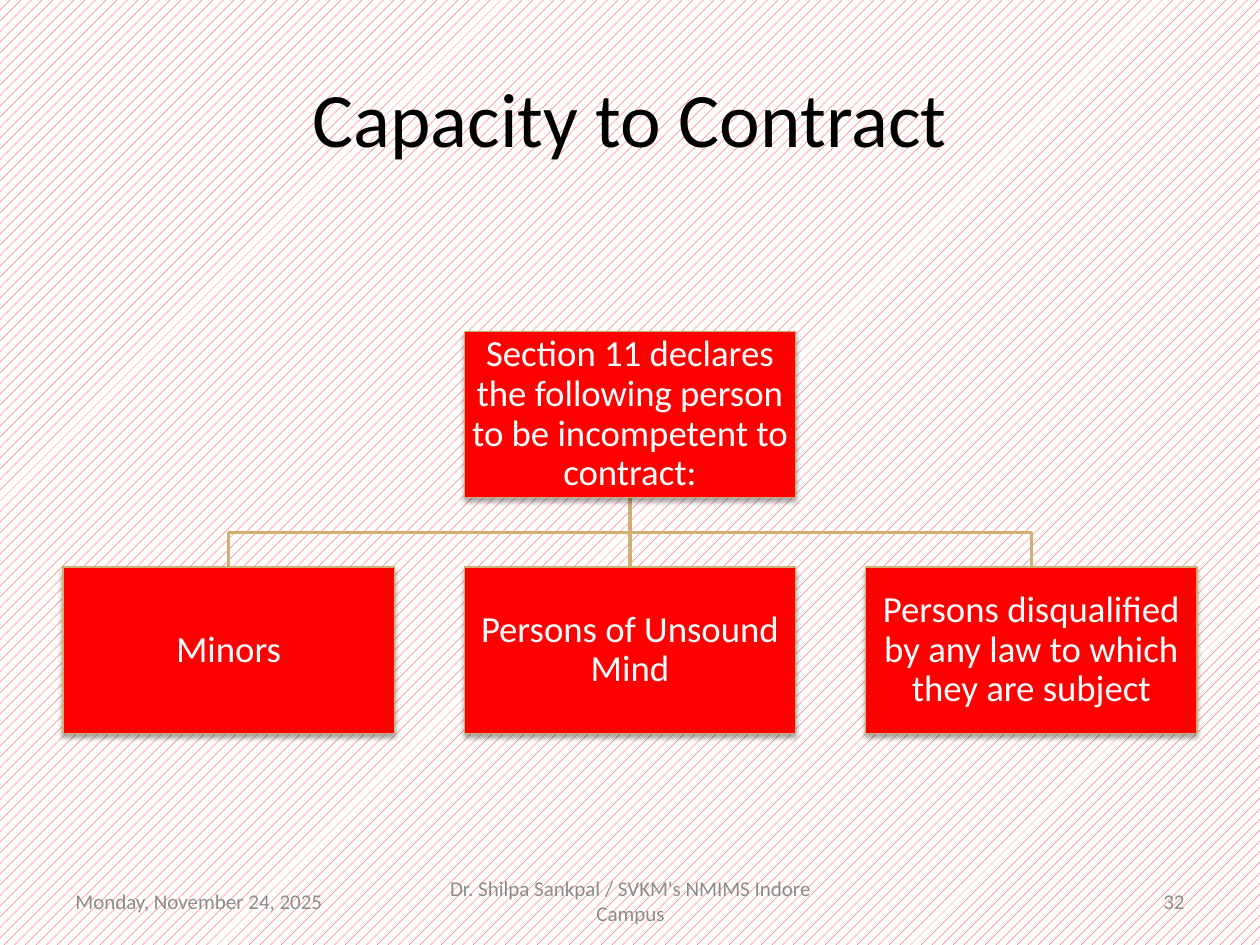
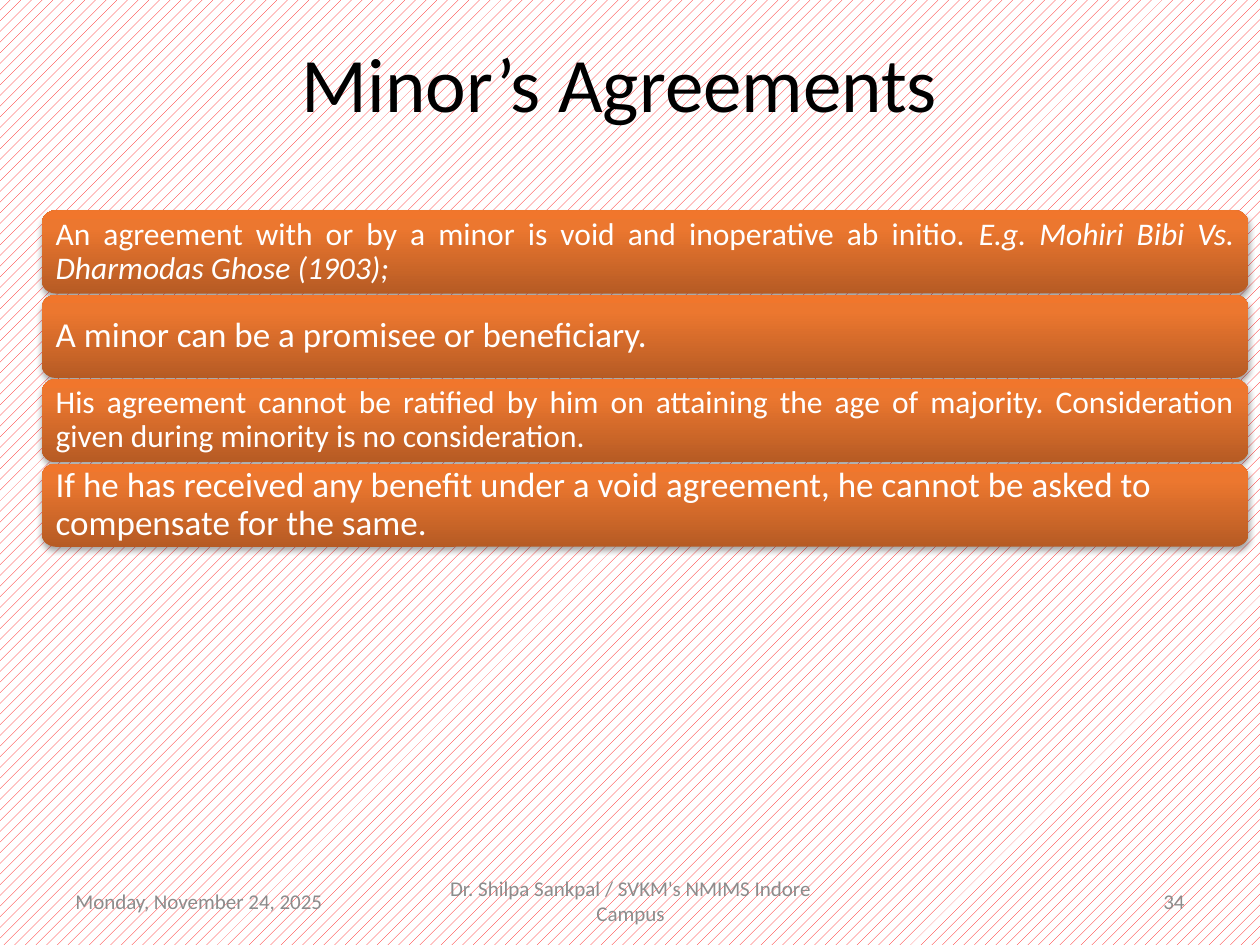
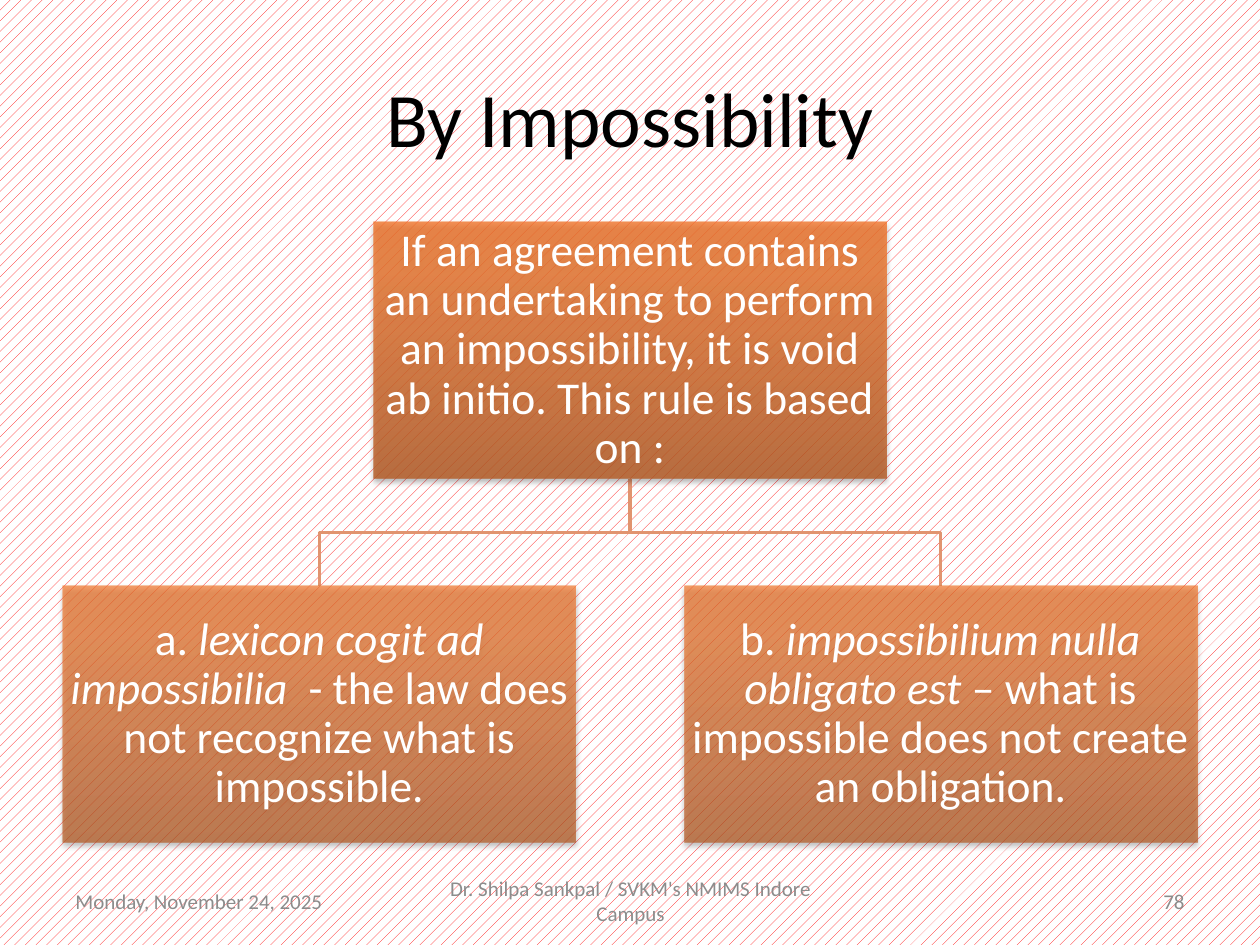
from copy import deepcopy

from lxml.etree import SubElement
from pptx import Presentation
from pptx.dml.color import RGBColor
from pptx.enum.dml import MSO_PATTERN
from pptx.enum.shapes import MSO_CONNECTOR, MSO_SHAPE
from pptx.enum.text import MSO_ANCHOR, PP_ALIGN
from pptx.oxml.ns import qn
from pptx.util import Inches, Pt

FONT = "Calibri"
RED, WHITE, BLACK, GREY = "FF0000", "FFFFFF", "000000", "8C8C8C"
GOLD, SALMON = "D0AF72", "E1946F"
ORANGE_STOPS = [(0, "B65B24"), (0.8, "EC772F"), (1, "F1762C")]
LEFT, CENTER, RIGHT = 0.5, 5, 9.5
DATE = "Monday, November 24, 2025"
AUTHOR = "Dr. Shilpa Sankpal / SVKM's NMIMS Indore Campus"


def rgb(value):
    return RGBColor.from_string(value)


class Deck:
    def __init__(self):
        self.presentation = Presentation()
        self.presentation.slide_width = Inches(10)
        self.presentation.slide_height = Inches(7.5)

    def start(self, title, number, left=0.5, top=0.3):
        layout = self.presentation.slide_layouts[6]
        self.slide = self.presentation.slides.add_slide(layout)
        backdrop = self.slide.background.fill
        backdrop.patterned()
        backdrop.pattern = MSO_PATTERN.PERCENT_20
        backdrop.fore_color.rgb = rgb(RED)
        backdrop.back_color.rgb = rgb(WHITE)
        self.label(title, left, top, 9, 1.25, 44, BLACK, PP_ALIGN.CENTER)
        self.label(DATE, 0.5, 6.95, 2.33, 0.4, 12, GREY, PP_ALIGN.LEFT)
        self.label(AUTHOR, 3.42, 6.95, 3.17, 0.4, 12, GREY, PP_ALIGN.CENTER)
        self.label(number, 7.17, 6.95, 2.33, 0.4, 12, GREY, PP_ALIGN.RIGHT)

    def set_text(self, shape, text, size, color, align):
        frame = shape.text_frame
        frame.word_wrap = True
        frame.vertical_anchor = MSO_ANCHOR.MIDDLE
        paragraph = frame.paragraphs[0]
        paragraph.alignment = align
        paragraph.font.name = FONT
        paragraph.font.size = Pt(size)
        paragraph.font.color.rgb = rgb(color)
        for position, part in enumerate(text.split("*")):
            if part:
                run = paragraph.add_run()
                run.text = part
                if position % 2:
                    run.font.italic = True
        return frame

    def label(self, text, left, top, width, height, size, color, align):
        area = self.slide.shapes.add_textbox(
            Inches(left), Inches(top), Inches(width), Inches(height))
        self.set_text(area, text, size, color, align)

    def shade(self, shape, opacity):
        shape.fill.gradient()
        shape.fill.gradient_angle = 90
        stop_list = shape._element.spPr.find(qn("a:gradFill")).find(qn("a:gsLst"))
        stop_list.append(deepcopy(stop_list[0]))
        for stop, (position, color) in zip(shape.fill.gradient_stops, ORANGE_STOPS):
            stop.position = position
            stop.color.rgb = rgb(color)
        if opacity < 100:
            for color in stop_list.iter(qn("a:srgbClr")):
                SubElement(color, qn("a:alpha"), val=str(opacity * 1000))

    def cast_shadow(self, shape):
        shape.shadow.inherit = False
        effects = shape._element.spPr.find(qn("a:effectLst"))
        shadow = SubElement(effects, qn("a:outerShdw"), blurRad=str(Pt(3.1)),
                            dist=str(Pt(1.8)), dir="5400000", rotWithShape="0")
        color = SubElement(shadow, qn("a:srgbClr"), val=BLACK)
        SubElement(color, qn("a:alpha"), val="35000")

    def box(self, text, left, top, width, height, size, inset=0.02, opacity=100,
            fill=None, line=None, kind=MSO_SHAPE.RECTANGLE, align=PP_ALIGN.CENTER):
        box = self.slide.shapes.add_shape(
            kind, Inches(left), Inches(top), Inches(width), Inches(height))
        if fill:
            box.fill.solid()
            box.fill.fore_color.rgb = rgb(fill)
        else:
            self.shade(box, opacity)
        if line:
            box.line.color.rgb = rgb(line)
            box.line.width = Pt(0.75)
        else:
            box.line.fill.background()
        self.cast_shadow(box)
        frame = self.set_text(box, text, size, WHITE, align)
        frame.margin_left = frame.margin_right = Inches(inset)
        frame.margin_top = frame.margin_bottom = Inches(inset)
        frame.paragraphs[0].line_spacing = 0.9

    def branch(self, x, top, bottom, color):
        shapes = self.slide.shapes
        if abs(x - CENTER) < 0.01:
            branch = shapes.add_connector(
                MSO_CONNECTOR.STRAIGHT, Inches(CENTER), Inches(top),
                Inches(CENTER), Inches(bottom))
            SubElement(branch._element.spPr, qn("a:effectLst"))
        else:
            middle = Inches((top + bottom) / 2)
            outline = shapes.build_freeform(Inches(CENTER), Inches(top))
            outline.add_line_segments(
                [(Inches(CENTER), middle), (Inches(x), middle),
                 (Inches(x), Inches(bottom))], close=False)
            branch = outline.convert_to_shape()
            branch.fill.background()
            branch.shadow.inherit = False
        branch.line.color.rgb = rgb(color)
        branch.line.width = Pt(2)

    def tree(self, root, children, root_top, child_top, width, height, size,
             branch_color, opacities=(100, 100), **style):
        step = (RIGHT - LEFT - width) / (len(children) - 1)
        lefts = [LEFT + step * index for index in range(len(children))]
        for left in reversed(lefts):
            self.branch(left + width / 2, root_top + height, child_top, branch_color)
        self.box(root, CENTER - width / 2, root_top, width, height, size,
                 opacity=opacities[0], **style)
        for child, left in zip(children, lefts):
            self.box(child, left, child_top, width, height, size,
                     opacity=opacities[1], **style)


def main():
    deck = Deck()

    deck.start("Capacity to Contract", "32")
    deck.tree(
        "Section 11 declares the following person to be incompetent to contract:",
        ["Minors", "Persons of Unsound Mind",
         "Persons disqualified by any law to which they are subject"],
        2.63, 4.5, 2.63, 1.32, 21, GOLD, fill=RED, line=GOLD, inset=0.01)

    deck.start("Minor’s Agreements", "34", 0.42, 0.02)
    rules = [
        ("An agreement with or by a minor is void and inoperative ab initio. "
         "*E.g. Mohiri Bibi Vs. Dharmodas Ghose (1903);*", 18, PP_ALIGN.JUSTIFY),
        ("A minor can be a promisee or beneficiary.", 20, PP_ALIGN.LEFT),
        ("His agreement cannot be ratified by him on attaining the age of majority. "
         "Consideration given during minority is no consideration.",
         18, PP_ALIGN.JUSTIFY),
        ("If he has received any benefit under a void agreement, he cannot be asked "
         "to compensate for the same.", 20, PP_ALIGN.LEFT),
    ]
    for index, (rule, size, align) in enumerate(rules):
        deck.box(rule, 0.33, 1.67 + 0.67 * index, 9.58, 0.66, size, inset=0.08,
                 kind=MSO_SHAPE.ROUNDED_RECTANGLE, align=align)

    deck.start("By Impossibility", "78")
    deck.tree(
        "If an agreement contains an undertaking to perform an impossibility, "
        "it is void ab initio. This rule is based on :",
        ["a. *lexicon cogit ad impossibilia*  - the law does not recognize "
         "what is impossible.",
         "b. *impossibilium nulla obligato est* – what is impossible does not "
         "create an obligation."],
        1.76, 4.65, 4.07, 2.04, 26, SALMON, opacities=(80, 70))

    deck.presentation.save("out.pptx")


if __name__ == "__main__":
    main()
